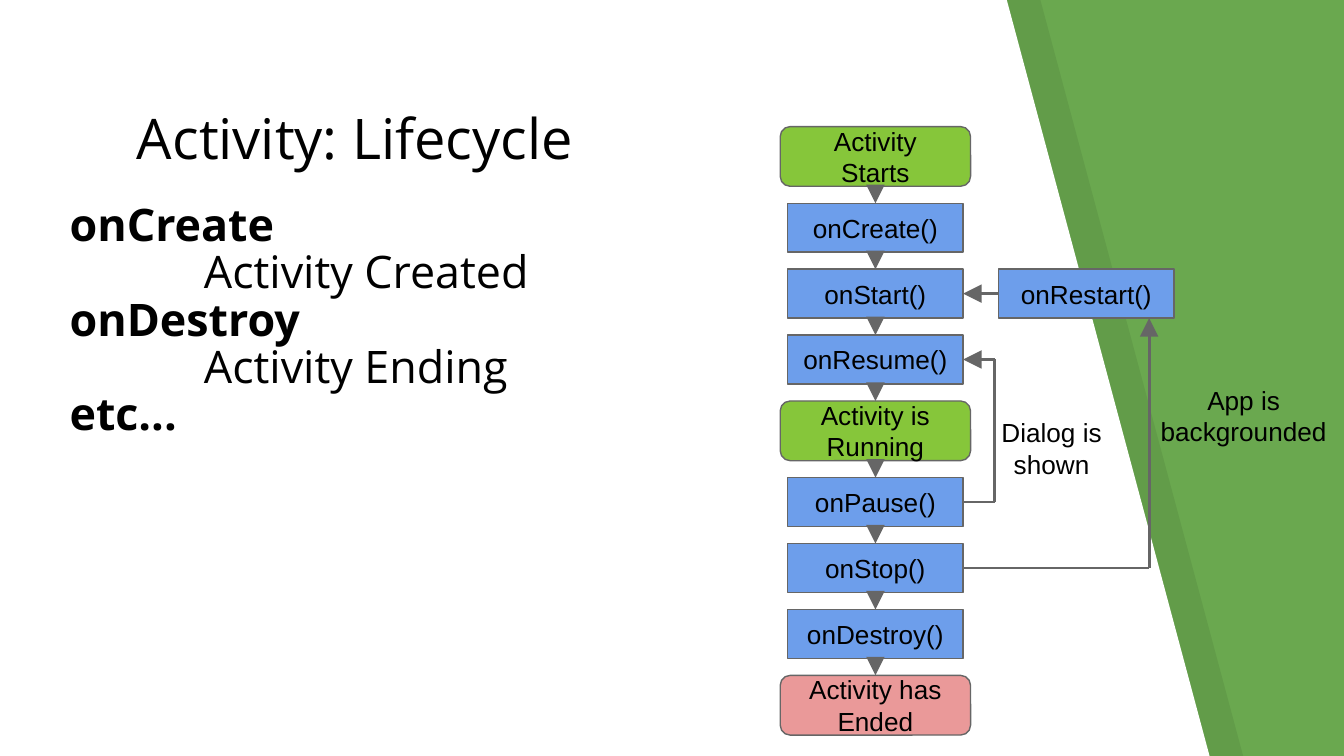
"""Build the activity lifecycle slide with its flow chart."""
import dataclasses
import itertools

import lxml.etree
import pptx
import pptx.dml.color
import pptx.enum.shapes
import pptx.enum.text
import pptx.oxml.ns
import pptx.util

Pt = pptx.util.Pt
qn = pptx.oxml.ns.qn
Shape = pptx.enum.shapes.MSO_SHAPE
Anchor = pptx.enum.text.MSO_ANCHOR
Align = pptx.enum.text.PP_ALIGN

COLORS = {
    "background": "6AA84F",
    "panel": "FFFFFF",
    "text": "000000",
    "state": "86C63A",
    "callback": "6D9EEB",
    "ended": "EA9999",
    "line": "666666",
}
SLIDE_WIDTH, SLIDE_HEIGHT = 720, 405
CENTER_X, FLOW_TOP, FLOW_GAP = 469, 67.8, 9.1
RESTART_CENTER_X = 582
PAUSE_LOOP_X, STOP_LOOP_X = 532.8, 615.6


@dataclasses.dataclass(frozen=True)
class Kind:
    preset: int
    width: float
    height: float
    fill: str


@dataclasses.dataclass(frozen=True)
class Step:
    text: str
    kind: Kind


@dataclasses.dataclass(frozen=True)
class Label:
    text: str
    left: float
    top: float


STATE = Kind(Shape.ROUNDED_RECTANGLE, 102, 32, "state")
ENDED = dataclasses.replace(STATE, fill="ended")
CALLBACK = Kind(Shape.RECTANGLE, 94, 26.2, "callback")

STEPS = [
    Step("Activity Starts", STATE),
    Step("onCreate()", CALLBACK),
    Step("onStart()", CALLBACK),
    Step("onResume()", CALLBACK),
    Step("Activity is Running", STATE),
    Step("onPause()", CALLBACK),
    Step("onStop()", CALLBACK),
    Step("onDestroy()", CALLBACK),
    Step("Activity has Ended", ENDED),
]
LABELS = [
    Label("App is backgrounded", 613.4, 198.7),
    Label("Dialog is shown", 510.5, 216),
]
NOTES = [
    ("onCreate", "Activity Created"),
    ("onDestroy", "Activity Ending"),
    ("etc...", None),
]


def rgb(name: str) -> pptx.dml.color.RGBColor:
    """Return the named colour."""
    return pptx.dml.color.RGBColor.from_string(COLORS[name])


def prepare_frame(shape, anchor=Anchor.TOP) -> None:
    """Set wrapping, insets and anchor of a shape's text."""
    frame = shape.text_frame
    frame.word_wrap = True
    frame.auto_size = pptx.enum.text.MSO_AUTO_SIZE.NONE
    frame.vertical_anchor = anchor
    frame.margin_left = frame.margin_right = Pt(7.2)
    frame.margin_top = frame.margin_bottom = Pt(7.2)


def write(paragraph, text: str, *, size=14, font="Arial", bold=False,
          align=Align.CENTER, indent=0, spacing=1.0) -> None:
    """Write formatted text into a paragraph."""
    if indent:
        paragraph._p.get_or_add_pPr().set("marL", str(Pt(indent)))
    paragraph.alignment = align
    paragraph.line_spacing = spacing
    run = paragraph.add_run()
    run.text = text
    run.font.size = Pt(size)
    run.font.name = font
    run.font.bold = bold
    run.font.color.rgb = rgb("text")


def add_panel(slide, offset: float, color: str, alpha: int = 100) -> None:
    """Draw a slanted panel, optionally translucent."""
    builder = slide.shapes.build_freeform(Pt(offset), 0, scale=1.0)
    corners = [(0, SLIDE_HEIGHT), (648, SLIDE_HEIGHT), (539.4, 0)]
    builder.add_line_segments([(Pt(offset + x), Pt(y)) for x, y in corners])
    panel = builder.convert_to_shape()
    panel.shadow.inherit = False
    panel.fill.solid()
    panel.fill.fore_color.rgb = rgb(color)
    panel.line.fill.background()
    if alpha < 100:
        fill_color = panel.element.spPr.find(".//" + qn("a:srgbClr"))
        lxml.etree.SubElement(fill_color, qn("a:alpha"), val=str(alpha * 1000))


def add_step(slide, step: Step, center_x: float, top: float):
    """Draw one box of the flow chart."""
    kind = step.kind
    shape = slide.shapes.add_shape(
        kind.preset, Pt(center_x - kind.width / 2), Pt(top), Pt(kind.width), Pt(kind.height))
    shape.shadow.inherit = False
    shape.fill.solid()
    shape.fill.fore_color.rgb = rgb(kind.fill)
    shape.line.color.rgb = rgb("line")
    shape.line.width = Pt(0.75)
    prepare_frame(shape, Anchor.MIDDLE)
    write(shape.text_frame.paragraphs[0], step.text)
    return shape


def add_line(slide, start=(0, 0), end=(0, 0), *, begin=None, finish=None,
             width=1.5, arrow=True):
    """Draw a straight line; begin and finish are (shape, side) joints."""
    line = slide.shapes.add_connector(
        pptx.enum.shapes.MSO_CONNECTOR.STRAIGHT, *start, *end)
    if begin:
        line.begin_connect(*begin)
    if finish:
        line.end_connect(*finish)
    line.line.color.rgb = rgb("line")
    line.line.width = Pt(width)
    properties = line.element.spPr
    if arrow:
        lxml.etree.SubElement(properties.find(qn("a:ln")), qn("a:tailEnd"),
                              type="triangle", w="lg", len="lg")
    lxml.etree.SubElement(properties, qn("a:effectLst"))
    return line


def add_title(slide, text: str) -> None:
    """Place the title in front of the panels."""
    title = slide.shapes.title
    title.element.getparent().append(title.element)
    title.left, title.top, title.width, title.height = Pt(66.2), Pt(60.5), Pt(419), Pt(38.2)
    prepare_frame(title, Anchor.BOTTOM)
    write(title.text_frame.paragraphs[0], text, size=30, font="Open Sans", align=Align.LEFT)


def add_notes(slide) -> None:
    """Write the callbacks and their indented meanings."""
    box = slide.shapes.add_textbox(Pt(30.2), Pt(102), Pt(367), Pt(292))
    prepare_frame(box)
    frame = box.text_frame
    lines = [(text, level) for pair in NOTES for level, text in enumerate(pair) if text]
    for index, (text, level) in enumerate(lines):
        paragraph = frame.add_paragraph() if index else frame.paragraphs[0]
        write(paragraph, text, size=24, font="Open Sans", bold=level == 0,
              align=Align.LEFT, indent=72 * level, spacing=0.88)


def add_flow(slide) -> None:
    """Draw the lifecycle boxes, arrows and loops."""
    boxes = {}
    top = FLOW_TOP
    for step in STEPS:
        boxes[step.text] = add_step(slide, step, CENTER_X, top)
        top += step.kind.height + FLOW_GAP
    for upper, lower in itertools.pairwise(list(boxes.values())):
        add_line(slide, begin=(upper, 2), finish=(lower, 0), width=0.75)

    start, resume = boxes["onStart()"], boxes["onResume()"]
    pause, stop = boxes["onPause()"], boxes["onStop()"]
    restart = add_step(slide, Step("onRestart()", CALLBACK), RESTART_CENTER_X, start.top.pt)
    add_line(slide, begin=(restart, 1), finish=(start, 3))

    resume_y, pause_y, stop_y = (box.top + box.height // 2 for box in (resume, pause, stop))
    pause_x, stop_x = Pt(PAUSE_LOOP_X), Pt(STOP_LOOP_X)
    add_line(slide, end=(stop_x, stop_y), begin=(stop, 3), arrow=False)
    add_line(slide, (stop_x, stop_y), (stop_x, restart.top + restart.height))
    add_line(slide, end=(pause_x, pause_y), begin=(pause, 3), arrow=False)
    add_line(slide, (pause_x, pause_y), (pause_x, resume_y), arrow=False)
    add_line(slide, (pause_x, resume_y), finish=(resume, 3))

    for label in LABELS:
        box = slide.shapes.add_textbox(Pt(label.left), Pt(label.top), Pt(105.8), Pt(41.8))
        prepare_frame(box)
        write(box.text_frame.paragraphs[0], label.text)


def main() -> None:
    """Build and save the presentation."""
    presentation = pptx.Presentation()
    presentation.slide_width = Pt(SLIDE_WIDTH)
    presentation.slide_height = Pt(SLIDE_HEIGHT)
    slide = presentation.slides.add_slide(presentation.slide_layouts[5])
    slide.background.fill.solid()
    slide.background.fill.fore_color.rgb = rgb("background")
    add_panel(slide, 18, "text", alpha=7)
    add_panel(slide, 0, "panel")
    add_notes(slide)
    add_title(slide, "Activity: Lifecycle")
    add_flow(slide)
    presentation.save("out.pptx")


if __name__ == "__main__":
    main()
